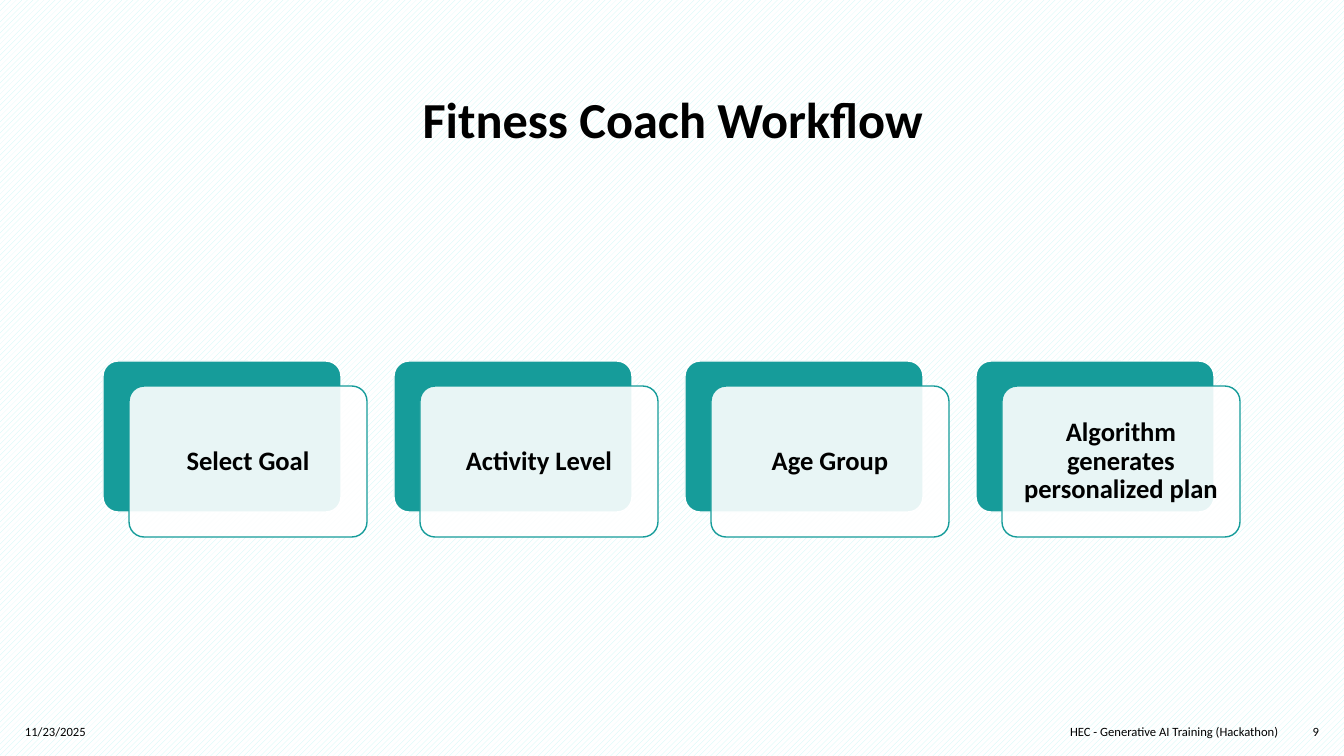
from lxml.etree import SubElement
from pptx import Presentation
from pptx.dml.color import RGBColor
from pptx.enum.dml import MSO_PATTERN
from pptx.enum.shapes import MSO_SHAPE
from pptx.enum.text import MSO_ANCHOR, PP_ALIGN
from pptx.oxml.ns import qn
from pptx.util import Emu, Pt

PX = 12192000 / 1344
TEAL, WHITE, BLACK = "169C9A", "FFFFFF", "000000"
rgb = RGBColor.from_string


def box(x, y, w, h):
    return [Emu(round(v * PX)) for v in (x, y, w, h)]


def write(sp, text, size, align, bold=False, spacing=1.0):
    tf = sp.text_frame
    tf.word_wrap = True
    tf.vertical_anchor = MSO_ANCHOR.MIDDLE
    p = tf.paragraphs[0]
    p.alignment = align
    p.line_spacing = spacing
    r = p.add_run()
    r.text = text
    r.font.color.rgb = rgb(BLACK)
    for key, value in {"name": "Calibri", "size": Pt(size), "bold": bold}.items():
        setattr(r.font, key, value)


prs = Presentation()
prs.slide_width, prs.slide_height = box(0, 0, 1344, 756)[2:]
slide = prs.slides.add_slide(prs.slide_layouts[6])
shapes = slide.shapes

# Striped background
fill = slide.background.fill
fill.patterned()
fill.pattern = MSO_PATTERN.WIDE_UPWARD_DIAGONAL
fill.fore_color.rgb = rgb("C5F7F6")
fill.back_color.rgb = rgb(WHITE)

# Title
title = shapes.add_textbox(*box(168, 60, 1010, 125))
write(title, "Fitness Coach Workflow", 36, PP_ALIGN.CENTER, bold=True, spacing=0.9)

# Workflow steps: a teal card behind a translucent white one
steps = ["Select Goal", "Activity Level", "Age Group",
         "Algorithm generates personalized plan"]
for i, step in enumerate(steps):
    x = 103 + 291 * i
    for left, top, color, line in ((x, 361, TEAL, WHITE), (x + 26, 386, WHITE, TEAL)):
        card = shapes.add_shape(MSO_SHAPE.ROUNDED_RECTANGLE, *box(left, top, 238, 151))
        card.shadow.inherit = False
        card.adjustments[0] = 0.1
        card.fill.solid()
        card.fill.fore_color.rgb = rgb(color)
        card.line.color.rgb = rgb(line)
        card.line.width = Pt(1)
    clr = card.fill._xPr.find(qn("a:solidFill")).find(qn("a:srgbClr"))
    SubElement(clr, qn("a:alpha"), val="90000")
    for side in ("left", "right", "top", "bottom"):
        setattr(card.text_frame, f"margin_{side}", Emu(round(8 * PX)))
    write(card, step, 19, PP_ALIGN.CENTER, bold=True, spacing=0.9)

# Footer
for x, w, text, align in (
    (15, 385, "11/23/2025", PP_ALIGN.LEFT),
    (979, 309, "HEC - Generative AI Training (Hackathon)", PP_ALIGN.RIGHT),
    (1282, 47, "9", PP_ALIGN.RIGHT),
):
    write(shapes.add_textbox(*box(x, 712, w, 40)), text, 9, align)

prs.save("out.pptx")
